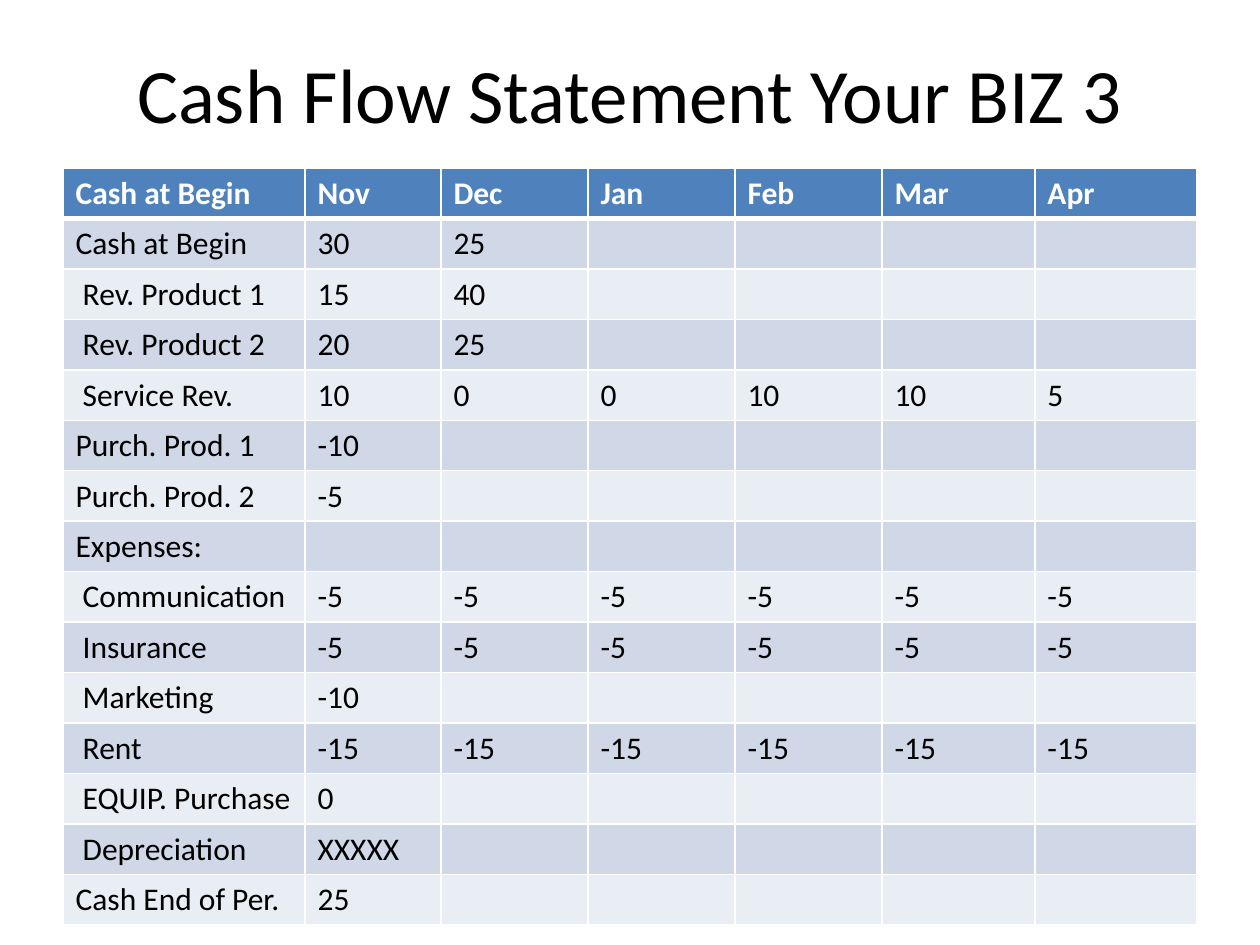
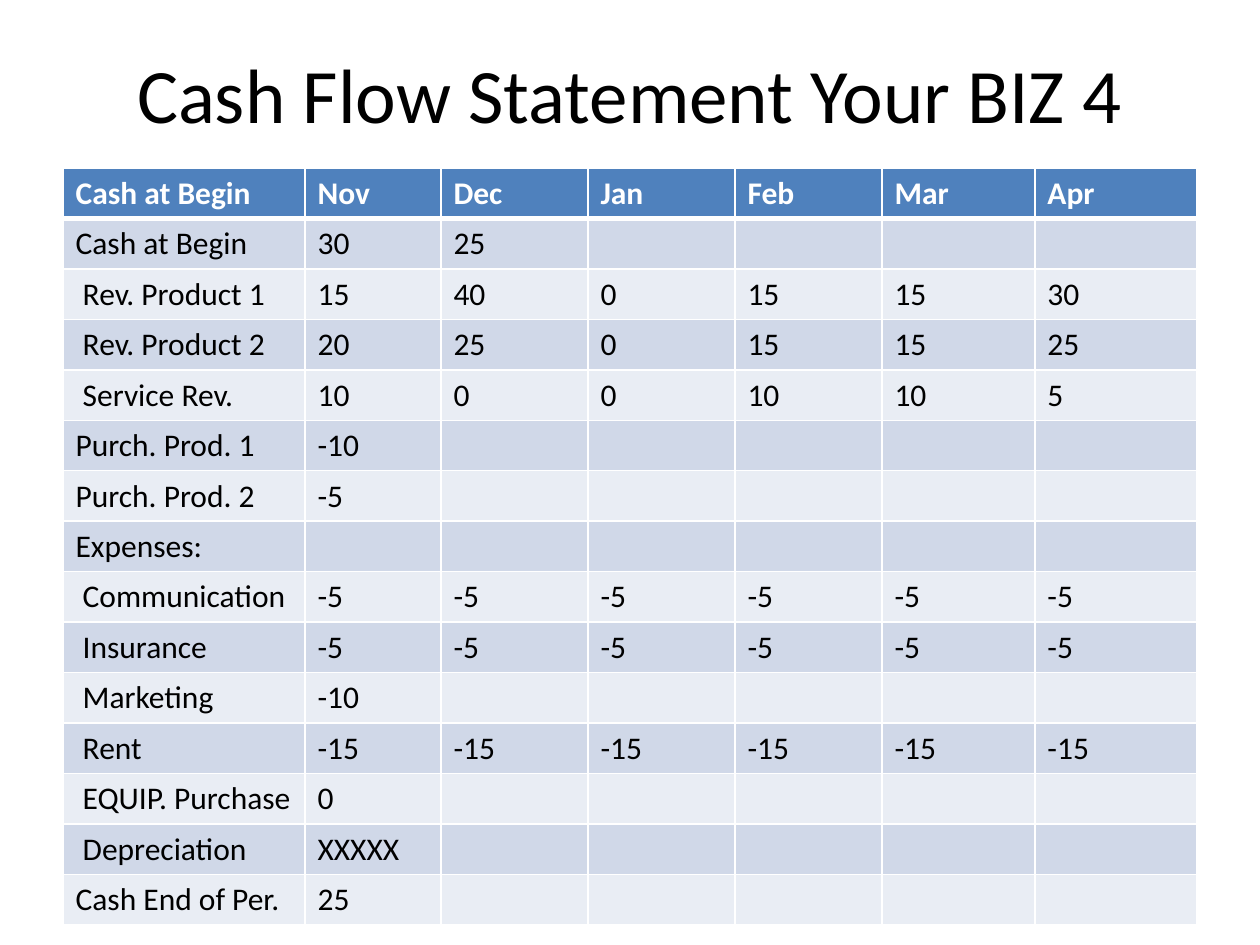
from lxml import etree
from pptx import Presentation
from pptx.dml.color import RGBColor
from pptx.enum.text import MSO_ANCHOR, PP_ALIGN
from pptx.oxml.ns import qn
from pptx.util import Pt

MIDDLE = MSO_ANCHOR.MIDDLE
CENTER = PP_ALIGN.CENTER

# Lengths are pixels, 126 to the inch
PIXEL = 914400 // 126
SLIDE_WIDTH, SLIDE_HEIGHT = 1260, 945
LEFT, CONTENT_WIDTH = 63, 1134
TITLE_TOP, TITLE_HEIGHT = 38, 110
TABLE_TOP, ROW_HEIGHT = 168, 49
COLUMN_WIDTHS = [242, 136, 147, 147, 147, 153, 162]

# Shared colours and text formats
BLACK = RGBColor(0x00, 0x00, 0x00)
WHITE = RGBColor(0xFF, 0xFF, 0xFF)
HEADER_BLUE = RGBColor(0x4F, 0x81, 0xBD)
BAND_DARK = RGBColor(0xD0, 0xD8, 0xE8)
BAND_LIGHT = RGBColor(0xE9, 0xED, 0xF4)
FONT = "Calibri"
TITLE_FORMAT = {"name": FONT, "size": Pt(44), "bold": False}
HEADER_FORMAT = {"name": FONT, "size": Pt(18), "bold": True}
BODY_FORMAT = {"name": FONT, "size": Pt(18), "bold": False}

# Statement rows; months without an entry stay empty
HEADER = ["Cash at Begin", "Nov", "Dec", "Jan", "Feb", "Mar", "Apr"]
STATEMENT = {
    "Cash at Begin": [30, 25],
    " Rev. Product 1": [15, 40],
    " Rev. Product 2": [20, 25],
    " Service Rev.": [10, 0, 0, 10, 10, 5],
    "Purch. Prod. 1": [-10],
    "Purch. Prod. 2": [-5],
    "Expenses:": [],
    " Communication": [-5] * 6,
    " Insurance": [-5] * 6,
    " Marketing": [-10],
    " Rent": [-15] * 6,
    " EQUIP. Purchase": [0],
    " Depreciation": ["XXXXX"],
    "Cash End of Per.": [25],
}
REVENUE_FORECAST = {
    " Rev. Product 1": [15, 40, 0, 15, 15, 30],
    " Rev. Product 2": [20, 25, 0, 15, 15, 25],
}
SLIDES = [
    ("Cash Flow Statement Your BIZ 3", STATEMENT),
    ("Cash Flow Statement Your BIZ 4", {**STATEMENT, **REVENUE_FORECAST}),
]


def write_text(paragraph, text, text_format, color):
    run = paragraph.add_run()
    run.text = text
    for name, value in text_format.items():
        setattr(run.font, name, value)
    run.font.color.rgb = color


def add_borders(cell, widths):
    properties = cell._tc.get_or_add_tcPr()
    for side, width in widths.items():
        line = etree.SubElement(properties, qn("a:ln" + side), w=str(Pt(width)))
        fill = etree.SubElement(line, qn("a:solidFill"))
        etree.SubElement(fill, qn("a:srgbClr"), val=str(WHITE))


presentation = Presentation()
presentation.slide_width = SLIDE_WIDTH * PIXEL
presentation.slide_height = SLIDE_HEIGHT * PIXEL
blank_layout = presentation.slide_layouts[6]

for title, statement in SLIDES:
    slide = presentation.slides.add_slide(blank_layout)

    # Title
    title_box = slide.shapes.add_textbox(
        LEFT * PIXEL, TITLE_TOP * PIXEL, CONTENT_WIDTH * PIXEL, TITLE_HEIGHT * PIXEL)
    title_frame = title_box.text_frame
    title_frame.word_wrap = True
    title_frame.vertical_anchor = MIDDLE
    title_frame.paragraphs[0].alignment = CENTER
    write_text(title_frame.paragraphs[0], title, TITLE_FORMAT, BLACK)

    # Table grid
    rows = [HEADER] + [[label, *values] for label, values in statement.items()]
    table = slide.shapes.add_table(
        len(rows), len(HEADER), LEFT * PIXEL, TABLE_TOP * PIXEL,
        CONTENT_WIDTH * PIXEL, len(rows) * ROW_HEIGHT * PIXEL).table
    for column, width in zip(table.columns, COLUMN_WIDTHS):
        column.width = width * PIXEL

    # Cells: blue header, then alternating bands
    for row_index, row in enumerate(rows):
        is_header = row_index == 0
        if is_header:
            fill_color, text_color, text_format = HEADER_BLUE, WHITE, HEADER_FORMAT
        else:
            fill_color = BAND_DARK if row_index % 2 else BAND_LIGHT
            text_color, text_format = BLACK, BODY_FORMAT
        borders = {"L": 1, "R": 1, "T": 3 if row_index == 1 else 1,
                   "B": 3 if is_header else 1}
        for column_index in range(len(HEADER)):
            cell = table.cell(row_index, column_index)
            add_borders(cell, borders)
            cell.fill.solid()
            cell.fill.fore_color.rgb = fill_color
            if column_index < len(row):
                write_text(cell.text_frame.paragraphs[0], str(row[column_index]),
                           text_format, text_color)

presentation.save("out.pptx")
